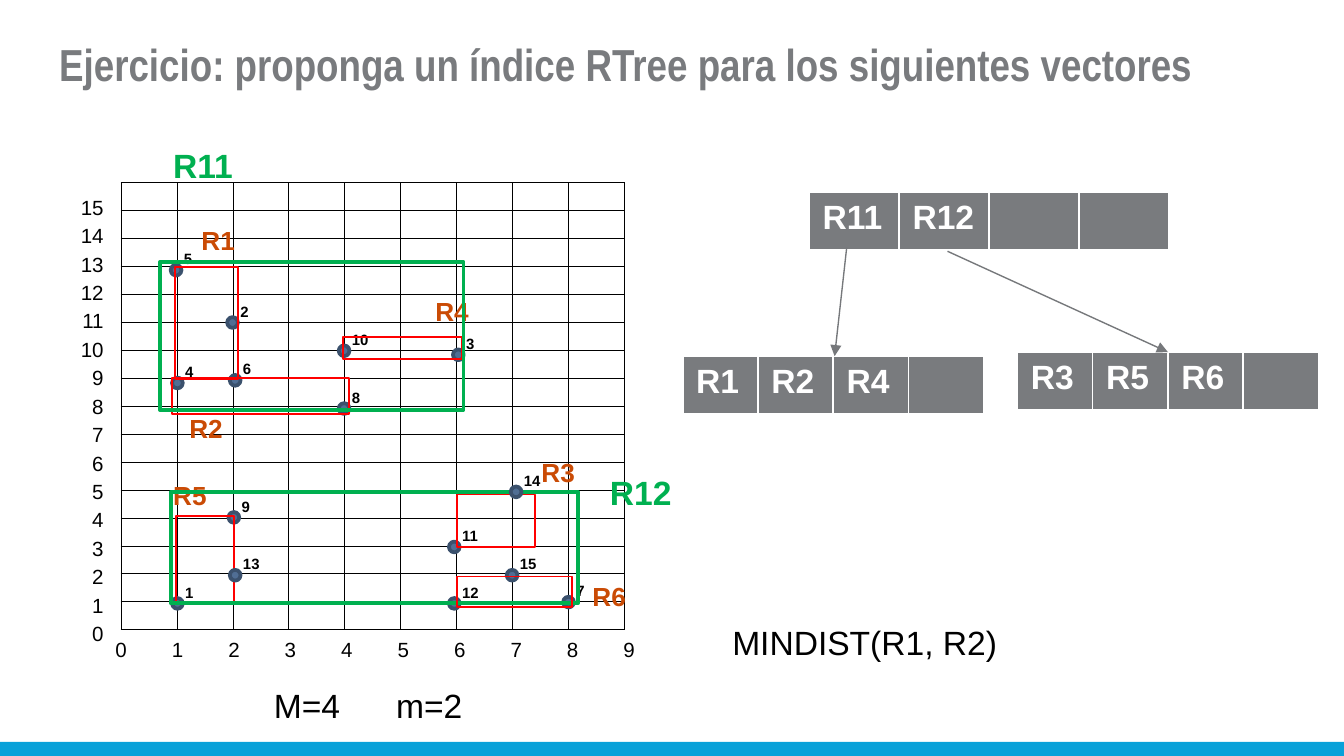
from dataclasses import dataclass

import lxml.etree
import pptx
import pptx.dml.color
import pptx.enum.shapes
import pptx.enum.text
import pptx.oxml.ns
import pptx.util

Inches = pptx.util.Inches
Pt = pptx.util.Pt
qn = pptx.oxml.ns.qn
Shapes = pptx.enum.shapes.MSO_SHAPE
Align = pptx.enum.text.PP_ALIGN

COLORS = {
    "footer": "08A1D9", "gray": "797B7E", "arrow": "76787B", "black": "000000",
    "white": "FFFFFF", "dot": "506E94", "dot_line": "3B516D",
    "leaf": "FF0000", "leaf_label": "CA4B05", "region": "00B050",
}


@dataclass
class Point:
    number: int
    left: float
    top: float


@dataclass
class Box:
    left: float
    top: float
    width: float
    height: float


@dataclass
class Leaf:
    name: str
    label_left: float
    label_top: float
    box: Box


@dataclass
class Node:
    left: float
    top: float
    column_width: float
    entries: list[str]


BACK_POINTS = [
    Point(1, 1.28, 4.45), Point(2, 1.69, 2.36), Point(3, 3.37, 2.6), Point(4, 1.28, 2.81),
    Point(5, 1.27, 1.97), Point(6, 1.71, 2.79), Point(7, 4.19, 4.44), Point(8, 2.52, 3),
    Point(9, 1.7, 3.81), Point(10, 2.52, 2.57), Point(11, 3.34, 4.03), Point(12, 3.34, 4.45),
]
FRONT_POINTS = [Point(13, 1.71, 4.24), Point(14, 3.8, 3.62), Point(15, 3.77, 4.24)]
BACK_LEAVES = [
    Leaf("R1", 1.4, 1.62, Box(1.3, 1.99, 0.47, 0.83)),
    Leaf("R2", 1.31, 3.02, Box(1.28, 2.81, 1.32, 0.27)),
    Leaf("R3", 3.93, 3.35, Box(3.4, 3.68, 0.58, 0.39)),
    Leaf("R4", 3.14, 2.15, Box(2.55, 2.51, 0.89, 0.16)),
    Leaf("R5", 1.19, 3.52, Box(1.31, 3.84, 0.43, 0.65)),
]
FRONT_LEAVES = [Leaf("R6", 4.31, 4.27, Box(3.4, 4.29, 0.86, 0.23))]
REGIONS = [Box(1.19, 1.95, 2.26, 1.1), Box(1.27, 3.66, 3.03, 0.83)]
NODES = [
    Node(5.08, 2.65, 0.56, ["R1", "R2", "R4", ""]),
    Node(7.57, 2.62, 0.56, ["R3", "R5", "R6", ""]),
    Node(6.02, 1.43, 0.67, ["R11", "R12", "", ""]),
]
ARROWS = [(6.3, 1.84, 6.21, 2.65), (7.05, 1.87, 8.69, 2.62)]


def rgb(name: str) -> pptx.dml.color.RGBColor:
    return pptx.dml.color.RGBColor.from_string(COLORS[name])


def format_paragraph(paragraph, size: float, color: str, bold: bool = False,
                     font: str = "Arial") -> None:
    for run in paragraph.runs:
        run.font.name = font
        run.font.size = Pt(size)
        run.font.bold = bold
        run.font.color.rgb = rgb(color)


def add_text(shapes, box: Box, text: str, size: float, color: str = "black",
             bold: bool = False, wrap: bool = False):
    shape = shapes.add_textbox(*map(Inches, (box.left, box.top, box.width, box.height)))
    frame = shape.text_frame
    frame.word_wrap = wrap
    frame.text = text
    for paragraph in frame.paragraphs:
        format_paragraph(paragraph, size, color, bold)
    return frame


def set_tab_stops(paragraph, positions: list[float]) -> None:
    properties = paragraph._p.get_or_add_pPr()
    stops = lxml.etree.SubElement(properties, qn("a:tabLst"))
    for position in positions:
        lxml.etree.SubElement(stops, qn("a:tab"), pos=str(Inches(position)), algn="l")


def add_shape(shapes, kind, box: Box, fill: str | None, line: str | None,
              width: float = 1) -> None:
    shape = shapes.add_shape(kind, *map(Inches, (box.left, box.top, box.width, box.height)))
    shape.shadow.inherit = False
    if fill:
        shape.fill.solid()
        shape.fill.fore_color.rgb = rgb(fill)
    else:
        shape.fill.background()
    if line:
        shape.line.color.rgb = rgb(line)
        shape.line.width = Pt(width)
    else:
        shape.line.fill.background()


def add_point(shapes, point: Point) -> None:
    group = shapes.add_group_shape()
    add_shape(group.shapes, Shapes.OVAL, Box(point.left, point.top, 0.08, 0.08),
              "dot", "dot_line", 2)
    label_width = 0.27 if point.number < 10 else 0.33
    add_text(group.shapes, Box(point.left, point.top - 0.16, label_width, 0.24),
             str(point.number), 8, bold=True)


def add_leaf(shapes, leaf: Leaf) -> None:
    box = leaf.box
    add_shape(shapes, Shapes.RECTANGLE, box, None, "leaf", 1)
    add_text(shapes, Box(leaf.label_left, leaf.label_top, 0.45, 0.34),
             leaf.name, 14, "leaf_label", True)


def set_borders(cell, color: str, widths: dict[str, float]) -> None:
    properties = cell._tc.get_or_add_tcPr()
    for index, (side, width) in enumerate(widths.items()):
        line = lxml.etree.Element(qn(f"a:ln{side}"), w=str(Pt(width)))
        fill = lxml.etree.SubElement(line, qn("a:solidFill"))
        lxml.etree.SubElement(fill, qn("a:srgbClr"), val=COLORS[color])
        properties.insert(index, line)


def add_table(shapes, rows: int, columns: int, box: Box):
    table = shapes.add_table(rows, columns, *map(
        Inches, (box.left, box.top, box.width, box.height))).table
    table.first_row = False
    table.horz_banding = False
    for row in table.rows:
        row.height = Inches(box.height / rows)
    for column in table.columns:
        column.width = Inches(box.width / columns)
    return table


def add_grid(shapes) -> None:
    table = add_table(shapes, 16, 9, Box(0.9, 1.36, 3.75, 3.33))
    for cell in table.iter_cells():
        cell.margin_top = cell.margin_bottom = 0
        cell.fill.background()
        set_borders(cell, "black", dict.fromkeys("LRTB", 0.5))
        lxml.etree.SubElement(cell.text_frame.paragraphs[0]._p, qn("a:endParaRPr"), sz="800")


def add_node(shapes, node: Node) -> None:
    count = len(node.entries)
    table = add_table(shapes, 1, count, Box(node.left, node.top, node.column_width * count, 0.44))
    for cell, entry in zip(table.iter_cells(), node.entries):
        cell.text_frame.text = entry
        format_paragraph(cell.text_frame.paragraphs[0], 18, "white", True)
        cell.fill.solid()
        cell.fill.fore_color.rgb = rgb("gray")
        set_borders(cell, "white", {"L": 1, "R": 1, "T": 1, "B": 3})


def add_arrow(shapes, ends: tuple[float, float, float, float]) -> None:
    connector = shapes.add_connector(pptx.enum.shapes.MSO_CONNECTOR.STRAIGHT, *map(Inches, ends))
    connector.line.color.rgb = rgb("arrow")
    connector.line.width = Pt(0.75)
    properties = connector.element.spPr
    lxml.etree.SubElement(properties.find(qn("a:ln")), qn("a:tailEnd"), type="triangle")
    lxml.etree.SubElement(properties, qn("a:effectLst"))


def add_title(slide) -> None:
    title = slide.shapes.title
    title.left, title.top, title.width, title.height = map(Inches, (0.34, 0.17, 9.32, 0.69))
    frame = title.text_frame
    frame.text = "Ejercicio: proponga un índice RTree para los siguientes vectores"
    frame.vertical_anchor = pptx.enum.text.MSO_ANCHOR.TOP
    frame.margin_top = frame.margin_bottom = Inches(0.1)
    frame.auto_size = pptx.enum.text.MSO_AUTO_SIZE.NONE
    frame.paragraphs[0].alignment = Align.LEFT
    format_paragraph(frame.paragraphs[0], 24, "gray", True, "Arial Narrow")


def add_axes(shapes) -> None:
    horizontal = add_text(shapes, Box(0.76, 4.69, 4.22, 0.29),
                          "\t".join(map(str, range(10))), 11, wrap=True)
    set_tab_stops(horizontal.paragraphs[0], [0.42 * step for step in range(1, 10)])
    vertical = add_text(shapes, Box(0.34, 1.4, 0.53, 3.48),
                        "\n".join(map(str, range(15, -1, -1))), 11, wrap=True)
    for paragraph in vertical.paragraphs:
        paragraph.alignment = Align.RIGHT
        paragraph.space_after = Pt(2)


def main() -> None:
    presentation = pptx.Presentation()
    presentation.slide_width = Inches(10)
    presentation.slide_height = Inches(10 * 9 / 16)
    slide = presentation.slides.add_slide(presentation.slide_layouts[5])
    shapes = slide.shapes
    add_shape(shapes, Shapes.RECTANGLE, Box(0, 5.52, 10, 0.11), "footer", None)
    add_title(slide)
    add_grid(shapes)
    add_axes(shapes)
    parameters = add_text(shapes, Box(1.94, 5.05, 1.74, 0.4), "M=4\tm=2", 18, wrap=True)
    set_tab_stops(parameters.paragraphs[0], [0.91])
    for point in BACK_POINTS:
        add_point(shapes, point)
    for leaf in BACK_LEAVES:
        add_leaf(shapes, leaf)
    add_text(shapes, Box(5.35, 4.58, 2.19, 0.4), "MINDIST(R1, R2)", 18)
    for region in REGIONS:
        add_shape(shapes, Shapes.RECTANGLE, region, None, "region", 2)
    for name, left, top in (("R11", 1.19, 1.03), ("R12", 4.44, 3.46)):
        add_text(shapes, Box(left, top, 0.75, 0.4), name, 18, "region", True, True)
    for node in NODES:
        add_node(shapes, node)
    for arrow in ARROWS:
        add_arrow(shapes, arrow)
    for point in FRONT_POINTS:
        add_point(shapes, point)
    for leaf in FRONT_LEAVES:
        add_leaf(shapes, leaf)
    presentation.save("out.pptx")


if __name__ == "__main__":
    main()
